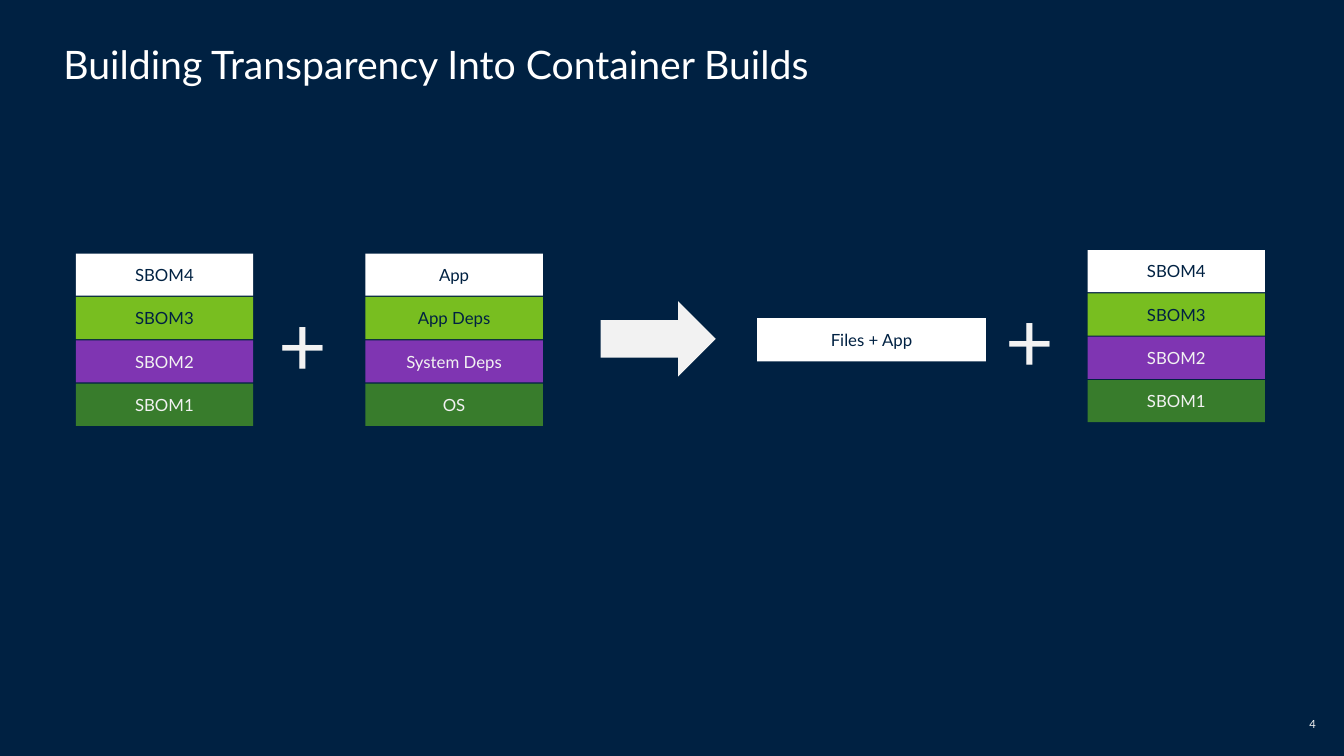
from dataclasses import dataclass

from pptx import Presentation
from pptx.dml.color import RGBColor
from pptx.enum import shapes, text
from pptx.util import Cm, Pt


@dataclass(frozen=True)
class Theme:
    font: str = "Lato"
    navy: str = "002142"
    white: str = "FFFFFF"
    pale: str = "F2F2F2"
    lime: str = "78BE20"
    plum: str = "7F35B2"
    green: str = "387C2C"
    head: int = 28
    label: int = 12
    sign: int = 60
    page: int = 8


theme = Theme()
tiers = [
    (theme.white, theme.navy),
    (theme.lime, theme.navy),
    (theme.plum, theme.pale),
    (theme.green, theme.pale),
]
sboms = ["SBOM4", "SBOM3", "SBOM2", "SBOM1"]
parts = ["App", "App Deps", "System Deps", "OS"]
align = text.PP_ALIGN
anchor = text.MSO_ANCHOR


def write(frame, words, size, color, side, after=0, line=None):
    frame.text = words
    para = frame.paragraphs[0]
    para.alignment = side
    para.space_after = Pt(after)
    para.line_spacing = line
    font = para.runs[0].font
    font.name = theme.font
    font.size = Pt(size)
    font.color.rgb = RGBColor.from_string(color)


def add_text(slide, box, words, size, color, side, mid, wrap=True, **gaps):
    frame = slide.shapes.add_textbox(*map(Cm, box)).text_frame
    frame.margin_left = frame.margin_right = 0
    frame.margin_top = frame.margin_bottom = 0
    frame.word_wrap = wrap
    frame.vertical_anchor = mid
    write(frame, words, size, color, side, **gaps)


def add_block(slide, kind, box, fill):
    block = slide.shapes.add_shape(kind, *map(Cm, box))
    block.shadow.inherit = False
    block.fill.solid()
    block.fill.fore_color.rgb = RGBColor.from_string(fill)
    block.line.fill.background()
    return block


def add_tile(slide, box, words, fill, ink):
    tile = add_block(slide, shapes.MSO_SHAPE.RECTANGLE, box, fill)
    tile.text_frame.vertical_anchor = anchor.MIDDLE
    write(tile.text_frame, words, theme.label, ink, align.CENTER, after=6)


def add_stack(slide, box, labels):
    left, top, width, height = box
    gap = 0.03
    tall = (height - gap * (len(labels) - 1)) / len(labels)
    for row, (words, (fill, ink)) in enumerate(zip(labels, tiers)):
        spot = (left, top + row * (tall + gap), width, tall)
        add_tile(slide, spot, words, fill, ink)


def add_plus(slide, box):
    add_text(slide, box, "+", theme.sign, theme.pale, align.LEFT,
             anchor.TOP, wrap=False, after=6)


def add_input(slide, box):
    left, top, width, height = box
    wide = 4.47
    add_stack(slide, (left, top, wide, height), sboms)
    add_plus(slide, (left + 5.1, top + 0.97, 1.27, 2.57))
    add_stack(slide, (left + width - wide, top, wide, height), parts)


def add_output(slide, box):
    left, top, width, height = box
    wide = 4.47
    add_tile(slide, (left, top + 1.72, 5.77, 1.09), "Files + App", *tiers[0])
    add_plus(slide, (left + 6.25, top + 0.98, 1.27, 2.57))
    add_stack(slide, (left + width - wide, top, wide, height), sboms)


def add_frame(slide, box):
    left, top, width, height = box
    add_text(slide, (left + 1.6, top + 1.14, 30.56, 1.07),
             "Building Transparency Into Container Builds", theme.head,
             theme.white, align.LEFT, anchor.BOTTOM, line=0.9)
    add_text(slide, (left + width - 1.93, top + height - 1.3, 1.22, 1.02),
             "4", theme.page, theme.pale, align.RIGHT, anchor.MIDDLE, line=0.9)


def main():
    deck = Presentation()
    deck.slide_width = Cm(33.87)
    deck.slide_height = Cm(19.05)
    slide = deck.slides.add_slide(deck.slide_layouts[6])
    slide.background.fill.solid()
    slide.background.fill.fore_color.rgb = RGBColor.from_string(theme.navy)
    add_frame(slide, (0, 0, 33.87, 19.05))
    add_input(slide, (1.91, 6.39, 11.77, 4.34))
    add_block(slide, shapes.MSO_SHAPE.RIGHT_ARROW,
              (15.14, 7.59, 2.9, 1.9), theme.pale)
    add_output(slide, (19.08, 6.3, 12.8, 4.34))
    deck.save("out.pptx")


if __name__ == "__main__":
    main()
